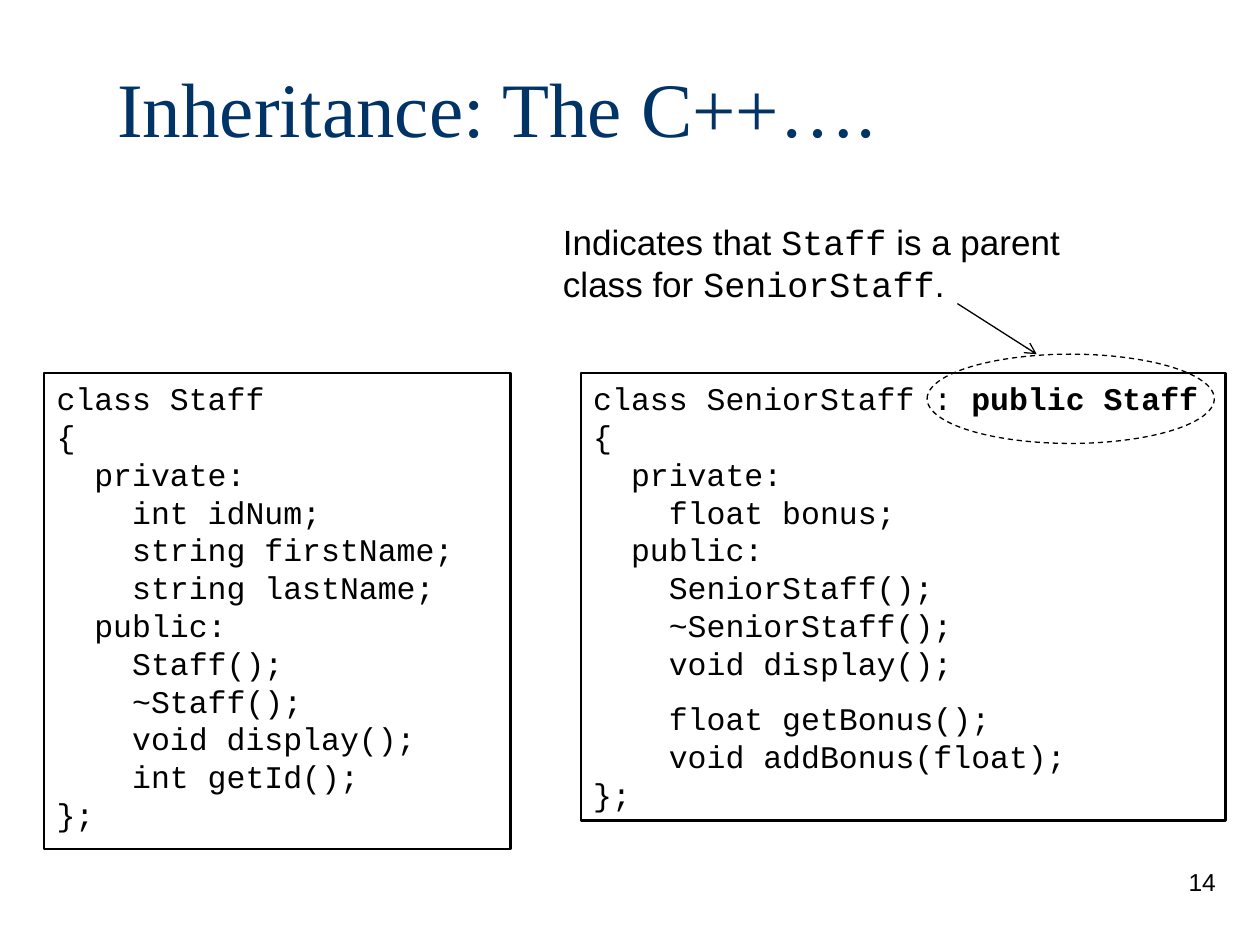
from dataclasses import dataclass

import pptx
import pptx.dml.color
import pptx.enum.dml
import pptx.enum.shapes
import pptx.enum.text
import pptx.oxml.ns
import pptx.util
from lxml import etree
from pptx.util import Cm

COLORS = {"title": "003366", "ink": "000000"}
BODY_FONT, CODE_FONT, TITLE_FONT = "Arial", "Courier New", "Times New Roman"
CODE_TOP = 7.52
SHAPES = pptx.enum.shapes.MSO_SHAPE
ALIGN = pptx.enum.text.PP_ALIGN
ANCHOR = pptx.enum.text.MSO_ANCHOR


@dataclass(frozen=True)
class Box:
    """Position and size in centimetres."""
    left: float
    top: float
    width: float
    height: float

    def lengths(self) -> tuple:
        return Cm(self.left), Cm(self.top), Cm(self.width), Cm(self.height)


@dataclass(frozen=True)
class CodePanel:
    box: Box
    code: str
    bold_part: str = ""
    gap_before: str = ""


STAFF = CodePanel(Box(0.89, CODE_TOP, 9.4, 9.6), """\
class Staff
{
  private:
    int idNum;
    string firstName;
    string lastName;
  public:
    Staff();
    ~Staff();
    void display();
    int getId();
};""")

SENIOR_STAFF = CodePanel(Box(11.71, CODE_TOP, 13, 9.02), """\
class SeniorStaff : public Staff
{
  private:
    float bonus;
  public:
    SeniorStaff();
    ~SeniorStaff();
    void display();
    float getBonus();
    void addBonus(float);
};""", bold_part="public Staff", gap_before="getBonus")


def rgb(name: str):
    return pptx.dml.color.RGBColor.from_string(COLORS[name])


def style_font(font, name: str, size: float, color: str = "ink") -> None:
    font.name = name
    font.size = pptx.util.Pt(size)
    font.color.rgb = rgb(color)


def style_line(line, width: float) -> None:
    line.color.rgb = rgb("ink")
    line.width = pptx.util.Pt(width)


def add_outline(slide, preset, box: Box, line_width: float):
    """Add an unfilled preset shape."""
    outline = slide.shapes.add_shape(preset, *box.lengths())
    outline.shadow.inherit = False
    outline.fill.background()
    style_line(outline.line, line_width)
    return outline


def add_title(slide, text: str, box: Box) -> None:
    title = slide.shapes.title
    title.left, title.top, title.width, title.height = box.lengths()
    frame = title.text_frame
    frame.text = text
    frame.auto_size = pptx.enum.text.MSO_AUTO_SIZE.NONE
    frame.vertical_anchor = ANCHOR.MIDDLE
    frame.paragraphs[0].alignment = ALIGN.LEFT
    style_font(frame.paragraphs[0].runs[0].font, TITLE_FONT, 44, "title")


def add_code_panel(slide, panel: CodePanel) -> None:
    frame = add_outline(slide, SHAPES.RECTANGLE, panel.box, 1.5).text_frame
    frame.word_wrap = True
    frame.vertical_anchor = ANCHOR.TOP
    frame.text = panel.code
    for paragraph in frame.paragraphs:
        paragraph.alignment = ALIGN.LEFT
        line = paragraph.text
        if panel.gap_before and panel.gap_before in line:
            paragraph.space_before = pptx.util.Pt(10)
        if panel.bold_part and line.endswith(panel.bold_part):
            paragraph.runs[0].text = line.removesuffix(panel.bold_part)
            bold_run = paragraph.add_run()
            bold_run.text = panel.bold_part
            bold_run.font.bold = True
        for run in paragraph.runs:
            style_font(run.font, CODE_FONT, 18)


def add_text(slide, box: Box, parts: list[tuple[str, str]], size: float,
             alignment=ALIGN.LEFT) -> None:
    """Add one paragraph made of (text, font name) parts."""
    frame = slide.shapes.add_textbox(*box.lengths()).text_frame
    frame.word_wrap = True
    paragraph = frame.paragraphs[0]
    paragraph.alignment = alignment
    for text, font_name in parts:
        run = paragraph.add_run()
        run.text = text
        style_font(run.font, font_name, size)


def add_arrow(slide, start: tuple[float, float], end: tuple[float, float]) -> None:
    arrow = slide.shapes.add_connector(
        pptx.enum.shapes.MSO_CONNECTOR.STRAIGHT,
        *(Cm(value) for value in start + end))
    style_line(arrow.line, 0.75)
    qn = pptx.oxml.ns.qn
    etree.SubElement(arrow.line._get_or_add_ln(), qn("a:tailEnd"), type="arrow")
    etree.SubElement(arrow._element.spPr, qn("a:effectLst"))


def main() -> None:
    deck = pptx.Presentation()
    deck.slide_width, deck.slide_height = Cm(25.4), Cm(19.05)
    slide = deck.slides.add_slide(deck.slide_layouts.get_by_name("Title Only"))

    add_title(slide, "Inheritance: The C++….", Box(2.11, 0.56, 21.59, 3.18))
    for panel in (STAFF, SENIOR_STAFF):
        add_code_panel(slide, panel)
    add_text(slide, Box(19.48, 17.35, 5.28, 1.27), [("14", BODY_FONT)], 14, ALIGN.RIGHT)
    add_text(slide, Box(11.1, 4.32, 10.8, 1.96), [
        ("Indicates that ", BODY_FONT),
        ("Staff", CODE_FONT),
        (" is a parent class for ", BODY_FONT),
        ("SeniorStaff", CODE_FONT),
        (".", BODY_FONT),
    ], 20)
    parent_marker = add_outline(slide, SHAPES.OVAL, Box(18.69, 7.14, 5.79, 1.8), 0.75)
    parent_marker.line.dash_style = pptx.enum.dml.MSO_LINE.DASH
    add_arrow(slide, (19.3, 6.12), (20.9, 7.14))

    deck.save("out.pptx")


if __name__ == "__main__":
    main()
